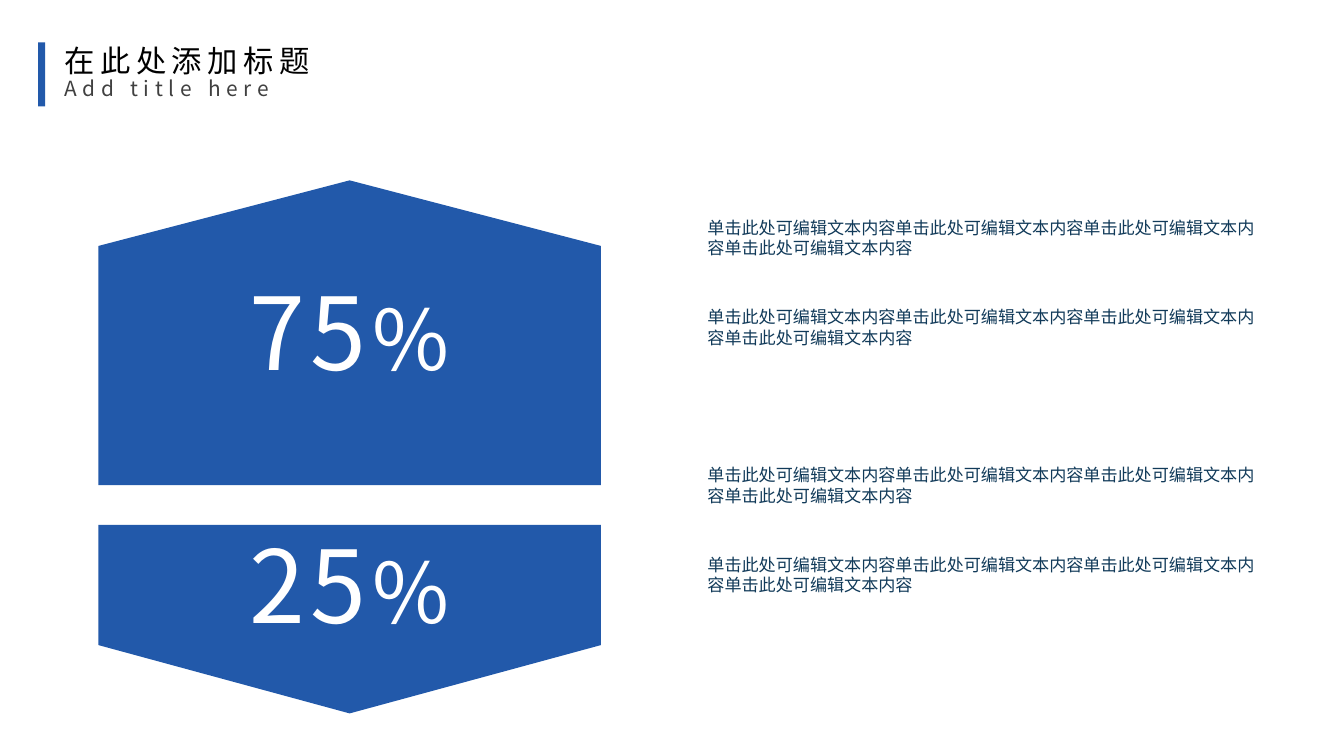
from pptx import Presentation
from pptx.dml.color import RGBColor
from pptx.enum.shapes import MSO_SHAPE
from pptx.enum.text import MSO_ANCHOR, PP_ALIGN
from pptx.oxml.ns import qn
from pptx.util import Inches, Pt

RECT = MSO_SHAPE.RECTANGLE
TOP = MSO_ANCHOR.TOP
LEFT, CENTER = PP_ALIGN.LEFT, PP_ALIGN.CENTER

COLS, ROWS = 984, 551  # grid cells of 0.01 inch
CELL = Inches(0.01)
BLUE, NAVY, GREY = "2259AA", "113A59", "404040"
WHITE, BLACK = "FFFFFF", "000000"
NOTO, BODY = "Noto Sans CJK SC", "Calibri"
NOTE = "单击此处可编辑文本内容" * 4


def color(code):
    return RGBColor.from_string(code)


def paint(shape):
    shape.shadow.inherit = False
    shape.fill.solid()
    shape.fill.fore_color.rgb = color(BLUE)
    shape.line.fill.background()


def house(slide, tip, eave, base, left=72, right=440):
    """Draw a five-sided block whose point is at row tip."""
    mid = (left + right) / 2
    build = slide.shapes.build_freeform(left, base, scale=CELL)
    build.add_line_segments(
        [(left, eave), (mid, tip), (right, eave), (right, base)])
    paint(build.convert_to_shape())


def bar(slide, *box):
    paint(slide.shapes.add_shape(RECT, *(n * CELL for n in box)))


def text(slide, box, lines, font=NOTO, align=LEFT, wrap=False, gap=0,
         pitch=1.0):
    """Write lines, each a list of (words, size, color) runs."""
    frame = slide.shapes.add_textbox(*(n * CELL for n in box)).text_frame
    frame.word_wrap = wrap
    frame.vertical_anchor = TOP
    frame.margin_left = frame.margin_right = 7 * CELL
    frame.margin_top = frame.margin_bottom = 4 * CELL
    for i, runs in enumerate(lines):
        para = frame.add_paragraph() if i else frame.paragraphs[0]
        para.alignment = align
        para.line_spacing = pitch
        for words, size, tint in runs:
            run = para.add_run()
            run.text = words
            run.font.size = Pt(size)
            run.font.name = font
            run.font.color.rgb = color(tint)
            props = run.font._element
            props.set("spc", str(gap * 100))
            east = props.makeelement(qn("a:ea"), {"typeface": font})
            props.find(qn("a:latin")).addnext(east)


def share(slide, top, value):
    text(slide, (171, top, 170, 97),
         [[(value, 53, WHITE), ("%", 44, WHITE)]],
         align=CENTER, gap=3, pitch=0.88)


def main():
    deck = Presentation()
    deck.slide_width, deck.slide_height = COLS * CELL, ROWS * CELL
    slide = deck.slides.add_slide(deck.slide_layouts[6])

    house(slide, tip=132, eave=180, base=355)
    house(slide, tip=522, eave=472, base=384)
    share(slide, 205, "75")
    share(slide, 390, "25")

    for block in (155, 336):
        for step in (0, 65.5):
            text(slide, (511, block + step, 422, 65),
                 [[(NOTE, 9, NAVY)]], font=BODY, wrap=True)

    bar(slide, 28, 31, 5, 47)
    text(slide, (40, 31, 201, 55),
         [[("在此处添加标题", 16, BLACK)], [("Add title here", 11, GREY)]],
         gap=3, pitch=0.86)
    deck.save("out.pptx")


if __name__ == "__main__":
    main()
